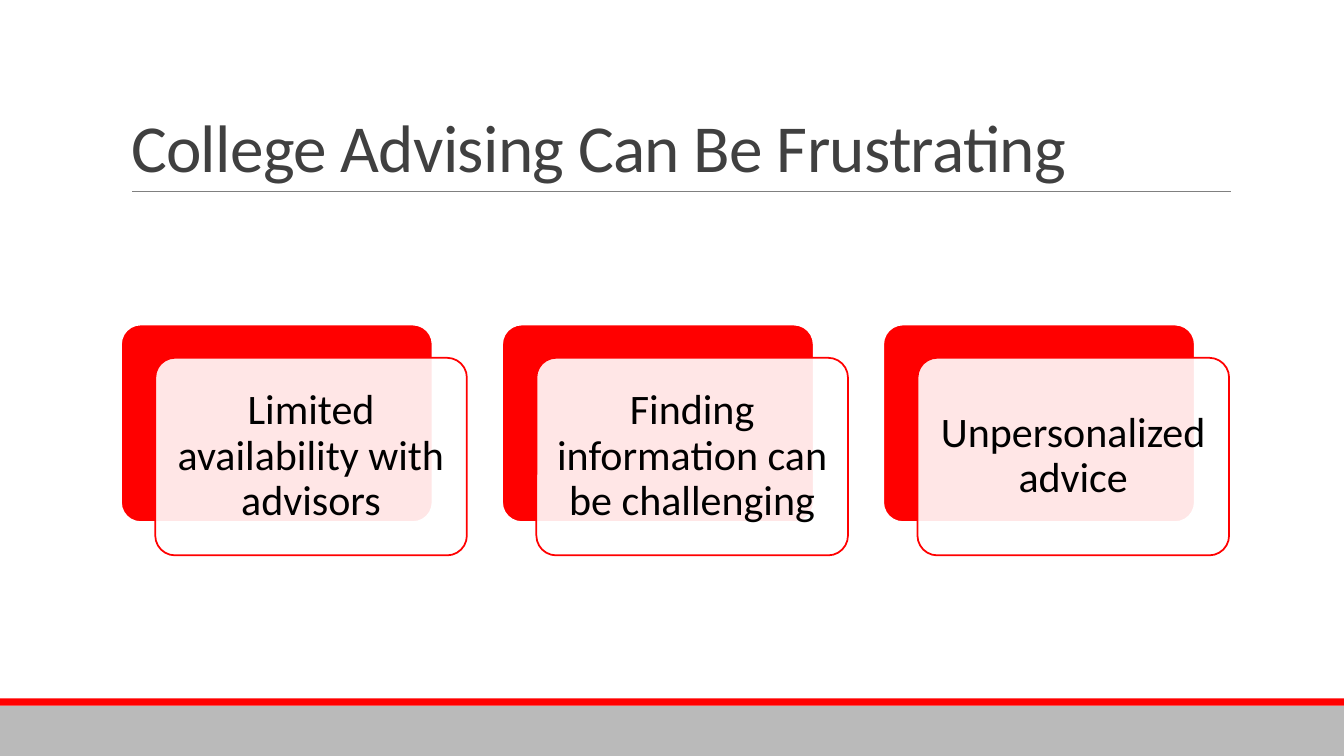
import pptx
import pptx.util
import pptx.dml.color
import pptx.enum.shapes
import pptx.enum.text
import pptx.oxml.xmlchemy
from pptx.util import Inches

COLORS = {
    "red": "FF0000",
    "gray": "BABABA",
    "rule": "808080",
    "title": "404040",
    "white": "FFFFFF",
    "black": "000000",
}
SHAPES = pptx.enum.shapes.MSO_SHAPE
ALIGN = pptx.enum.text.PP_ALIGN
ANCHOR = pptx.enum.text.MSO_ANCHOR


def rgb(name):
    return pptx.dml.color.RGBColor.from_string(COLORS[name])


def add_block(kind, left, top, width, height, fill, line=None):
    block = slide.shapes.add_shape(
        kind, Inches(left), Inches(top), Inches(width), Inches(height)
    )
    block.shadow.inherit = False
    block.fill.solid()
    block.fill.fore_color.rgb = rgb(fill)
    if line:
        block.line.color.rgb = rgb(line)
        block.line.width = pptx.util.Pt(1.25)
    else:
        block.line.fill.background()
    return block


deck = pptx.Presentation()
deck.slide_width = Inches(13.33)
deck.slide_height = Inches(7.5)
slide = deck.slides.add_slide(deck.slide_layouts[5])

add_block(SHAPES.RECTANGLE, 0, 7, 13.33, 0.5, "gray")
add_block(SHAPES.RECTANGLE, 0, 6.93, 13.33, 0.07, "red")

title_rule = slide.shapes.add_connector(
    pptx.enum.shapes.MSO_CONNECTOR.STRAIGHT,
    Inches(1.31), Inches(1.9), Inches(12.21), Inches(1.9),
)
title_rule.line.color.rgb = rgb("rule")
title_rule.line.width = pptx.util.Pt(0.5)
title_rule._element.spPr.append(pptx.oxml.xmlchemy.OxmlElement("a:effectLst"))

heading = slide.shapes.title
heading.left, heading.top = Inches(1.2), Inches(0.31)
heading.width, heading.height = Inches(11), Inches(1.59)
heading.text_frame.text = "College Advising Can Be Frustrating"
heading_line = heading.text_frame.paragraphs[0]
heading_line.runs[0]._r.get_or_add_rPr().set("spc", "-50")
texts = [(heading, heading_line, "title", 48, ALIGN.LEFT, ANCHOR.BOTTOM, 0.85, 0.1, 0.05)]

frustrations = [
    "Limited availability with advisors",
    "Finding information can be challenging",
    "Unpersonalized advice",
]
for index, frustration in enumerate(frustrations):
    left = 1.2 + index * 3.78
    back_card = add_block(SHAPES.ROUNDED_RECTANGLE, left, 3.22, 3.09, 1.96, "red", "white")
    front_card = add_block(
        SHAPES.ROUNDED_RECTANGLE, left + 0.34, 3.55, 3.09, 1.96, "white", "red"
    )
    for card in (back_card, front_card):
        card.adjustments[0] = 0.1
    front_color = front_card._element.spPr.xpath("./a:solidFill/a:srgbClr")[0]
    opacity = pptx.oxml.xmlchemy.OxmlElement("a:alpha")
    opacity.set("val", "90000")
    front_color.append(opacity)
    front_card.text_frame.text = frustration
    card_line = front_card.text_frame.paragraphs[0]
    texts.append(
        (front_card, card_line, "black", 30, ALIGN.CENTER, ANCHOR.MIDDLE, 0.9, 0.12, 0.12)
    )

for holder, line, color, size, align, anchor, spacing, side, edge in texts:
    frame_format = {
        "word_wrap": True,
        "auto_size": pptx.enum.text.MSO_AUTO_SIZE.NONE,
        "vertical_anchor": anchor,
        "margin_left": Inches(side),
        "margin_right": Inches(side),
        "margin_top": Inches(edge),
        "margin_bottom": Inches(edge),
    }
    line_format = {"alignment": align, "line_spacing": spacing}
    font_format = {"name": "Calibri", "size": pptx.util.Pt(size)}
    for part, values in (
        (holder.text_frame, frame_format),
        (line, line_format),
        (line.runs[0].font, font_format),
    ):
        for attribute, value in values.items():
            setattr(part, attribute, value)
    line.runs[0].font.color.rgb = rgb(color)

deck.save("out.pptx")
